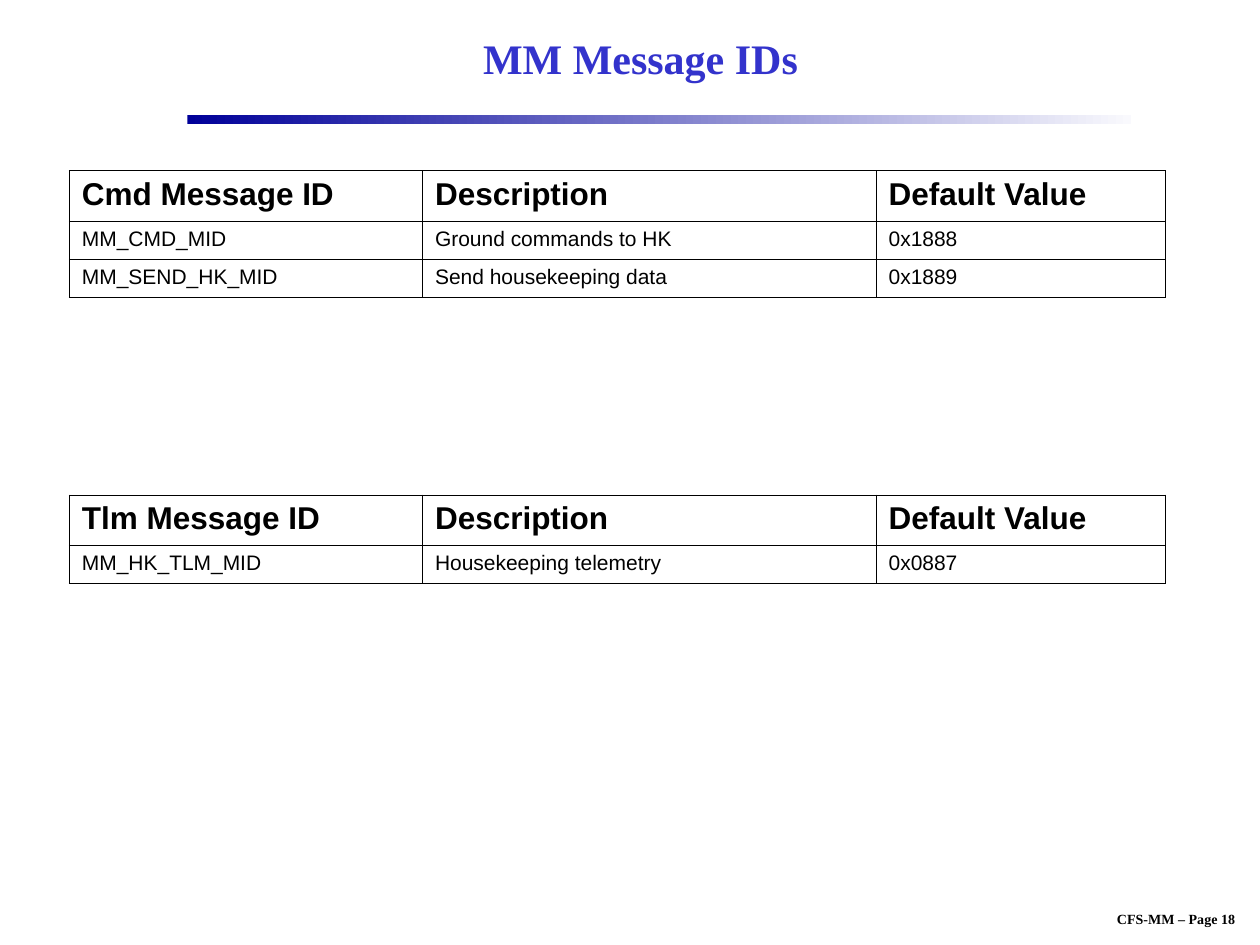
from dataclasses import dataclass

from lxml.etree import SubElement
from pptx import Presentation
from pptx.dml.color import RGBColor
from pptx.enum.shapes import MSO_SHAPE
from pptx.enum.text import MSO_ANCHOR, PP_ALIGN
from pptx.oxml import parse_xml
from pptx.oxml.ns import nsdecls, qn
from pptx.util import Pt


@dataclass(frozen=True)
class Theme:
    title_color: str = "3333CC"
    text_color: str = "000000"
    bar_start: str = "000099"
    bar_end: str = "F9F9FD"
    title_font: str = "Times New Roman"
    table_font: str = "Arial"
    title_size: float = 24
    header_size: float = 18
    body_size: float = 12
    footer_size: float = 8
    border_width: float = 0.45


THEME = Theme()

TITLE = "MM Message IDs"
FOOTER = "CFS-MM – Page 18"
COMMANDS = [
    ("Cmd Message ID", "Description", "Default Value"),
    ("MM_CMD_MID", "Ground commands to HK", "0x1888"),
    ("MM_SEND_HK_MID", "Send housekeeping data", "0x1889"),
]
TELEMETRY = [
    ("Tlm Message ID", "Description", "Default Value"),
    ("MM_HK_TLM_MID", "Housekeeping telemetry", "0x0887"),
]

# Lengths in points
TABLE_LEFT = 39.6
TABLE_TOPS = [(COMMANDS, 97.6), (TELEMETRY, 282.8)]
COLUMN_WIDTHS = [201.8, 259.2, 165.2]
HEADER_HEIGHT, BODY_HEIGHT = 28.8, 21.9


def format_text(text_frame, font_name, size, color, bold):
    for paragraph in text_frame.paragraphs:
        for run in paragraph.runs:
            run.font.name = font_name
            run.font.size = Pt(size)
            run.font.bold = bold
            run.font.color.rgb = RGBColor.from_string(color)


def add_heading(slide, text, box, size, color, wrap=True):
    """Add a centred bold line of text in the title font."""
    text_frame = slide.shapes.add_textbox(*map(Pt, box)).text_frame
    text_frame.word_wrap = wrap
    text_frame.vertical_anchor = MSO_ANCHOR.MIDDLE
    text_frame.text = text
    text_frame.paragraphs[0].alignment = PP_ALIGN.CENTER
    format_text(text_frame, THEME.title_font, size, color, True)


def add_gradient_bar(slide, box):
    bar = slide.shapes.add_shape(MSO_SHAPE.RECTANGLE, *map(Pt, box))
    bar.shadow.inherit = False
    bar.line.fill.background()
    bar.fill.gradient()
    bar.fill.gradient_angle = 0
    colors = (THEME.bar_start, THEME.bar_end)
    for stop, color, position in zip(bar.fill.gradient_stops, colors, (0, 1)):
        stop.color.rgb = RGBColor.from_string(color)
        stop.position = position


def set_borders(cell):
    properties = cell._tc.get_or_add_tcPr()
    for index, side in enumerate(("lnL", "lnR", "lnT", "lnB")):
        line = parse_xml(f'<a:{side} {nsdecls("a")} w="{Pt(THEME.border_width)}"/>')
        fill = SubElement(line, qn("a:solidFill"))
        SubElement(fill, qn("a:srgbClr"), val=THEME.text_color)
        properties.insert(index, line)


def add_message_table(slide, rows, top):
    heights = [HEADER_HEIGHT] + [BODY_HEIGHT] * (len(rows) - 1)
    table = slide.shapes.add_table(
        len(rows), len(COLUMN_WIDTHS),
        Pt(TABLE_LEFT), Pt(top), Pt(sum(COLUMN_WIDTHS)), Pt(sum(heights)),
    ).table
    table.first_row = table.horz_banding = False
    for column, width in zip(table.columns, COLUMN_WIDTHS):
        column.width = Pt(width)
    for row_index, (values, height) in enumerate(zip(rows, heights)):
        table.rows[row_index].height = Pt(height)
        is_header = row_index == 0
        size = THEME.header_size if is_header else THEME.body_size
        for cell, value in zip(table.rows[row_index].cells, values):
            cell.text_frame.text = value
            format_text(cell.text_frame, THEME.table_font, size, THEME.text_color, is_header)
            cell.fill.background()
            set_borders(cell)


def main():
    presentation = Presentation()
    presentation.slide_width, presentation.slide_height = Pt(720), Pt(540)
    slide = presentation.slides.add_slide(presentation.slide_layouts[6])
    add_heading(slide, FOOTER, (617, 517, 110.2, 16.6), THEME.footer_size,
                THEME.text_color, wrap=False)
    add_gradient_bar(slide, (107, 66, 539.3, 5))
    add_heading(slide, TITLE, (108, 6, 516, 54), THEME.title_size, THEME.title_color)
    for rows, top in TABLE_TOPS:
        add_message_table(slide, rows, top)
    presentation.save("out.pptx")


if __name__ == "__main__":
    main()
